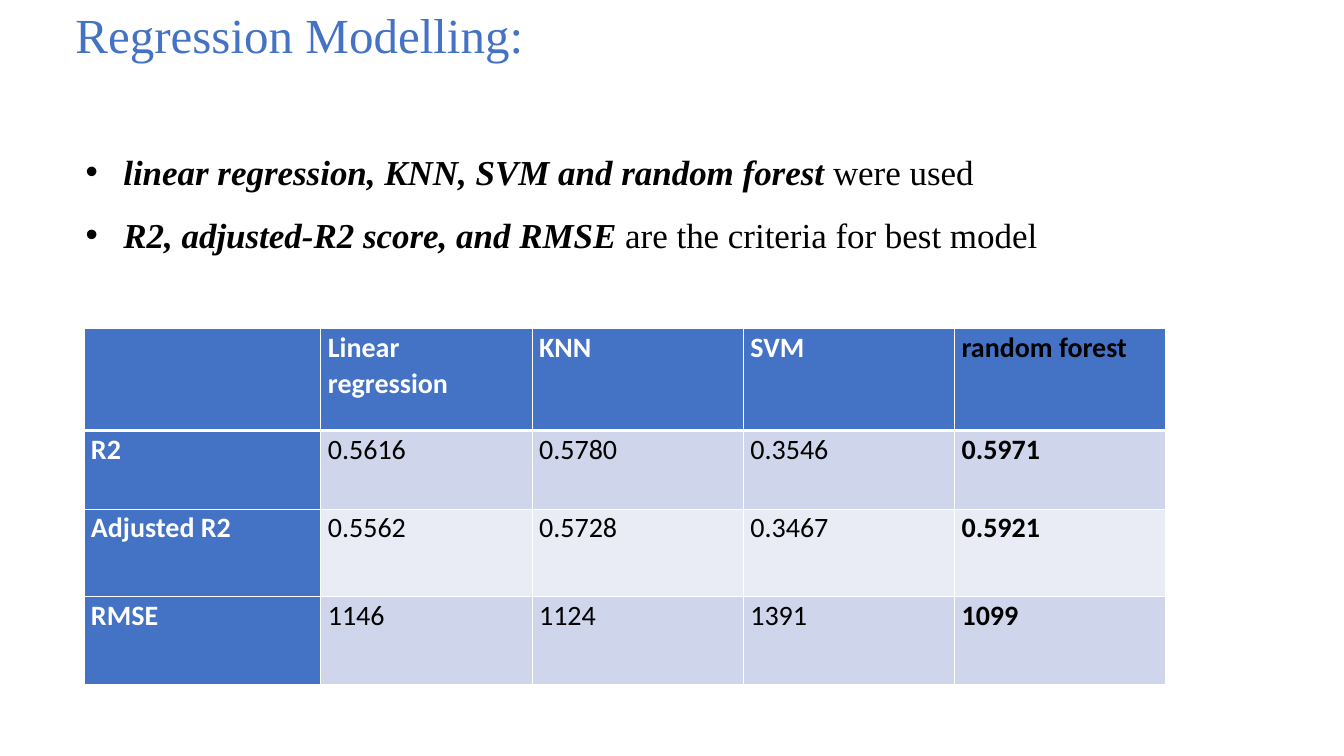
from dataclasses import dataclass
from typing import Optional

from lxml.etree import SubElement
from pptx import Presentation
from pptx.dml.color import RGBColor as RGB
from pptx.enum.text import MSO_ANCHOR as Anchor
from pptx.oxml.ns import qn
from pptx.util import Pt


@dataclass(frozen=True)
class Theme:
    """Colours, fonts and type sizes of the slide."""
    blue: str = "4472C4"
    band_dark: str = "CFD5EA"
    band_light: str = "E9EBF5"
    white: str = "FFFFFF"
    black: str = "000000"
    serif: str = "Times New Roman"
    sans: str = "Calibri"
    title: float = 35
    body: float = 25
    cell: float = 20


@dataclass(frozen=True)
class Box:
    """Position and size in points."""
    left: float
    top: float
    width: float
    height: float


@dataclass(frozen=True)
class Bullet:
    """A bullet with a stressed opening."""
    stressed: str
    plain: str


THEME = Theme()
TITLE_BOX = Box(46.8, 0, 785.5, 49.7)
BULLET_BOX = Box(54, 104.3, 738, 37.4)
BULLET_PITCH = 44.7
BULLET_INDENT = 27
BULLETS = [
    Bullet("linear regression, KNN, SVM and random forest ", "were used"),
    Bullet("R2, adjusted-R2 score, and RMSE ", "are the criteria for best model"),
]

TABLE_LEFT, TABLE_TOP = 60, 234.8
COLUMN_WIDTHS = [169.2] + [150.9] * 4
ROW_HEIGHTS = [72.7, 56.2, 62.6, 62.6]
SCORES = [
    ["", "Linear regression", "KNN", "SVM", "random forest"],
    ["R2", "0.5616", "0.5780", "0.3546", "0.5971"],
    ["Adjusted R2", "0.5562", "0.5728", "0.3467", "0.5921"],
    ["RMSE", "1146", "1124", "1391", "1099"],
]
BEST_COLUMN = len(COLUMN_WIDTHS) - 1


def add_run(p, text: str, size: float, font: str, color: str,
            bold: bool = False, italic: bool = False) -> None:
    """Add one formatted run to a paragraph."""
    r = p.add_run()
    r.text = text
    r.font.size, r.font.name = Pt(size), font
    r.font.bold, r.font.italic = bold, italic
    r.font.color.rgb = RGB.from_string(color)


def add_paragraph_box(slide, box: Box):
    """Add a wrapping text box and return its paragraph."""
    sp = slide.shapes.add_textbox(Pt(box.left), Pt(box.top),
                                  Pt(box.width), Pt(box.height))
    tf = sp.text_frame
    tf.word_wrap = True
    return tf.paragraphs[0]


def add_bullet(slide, bullet: Bullet, box: Box) -> None:
    """Add a bulleted line with a hanging indent."""
    p = add_paragraph_box(slide, box)
    pPr = p._p.get_or_add_pPr()
    pPr.set("marL", str(Pt(BULLET_INDENT)))
    pPr.set("indent", str(-Pt(BULLET_INDENT)))
    SubElement(pPr, qn("a:buFont")).set("typeface", "Arial")
    SubElement(pPr, qn("a:buChar")).set("char", "•")
    add_run(p, bullet.stressed, THEME.body, THEME.serif, THEME.black, True, True)
    add_run(p, bullet.plain, THEME.body, THEME.serif, THEME.black)


def set_border(cell, side: str, width: float) -> None:
    """Draw one white cell border; side is L, R, T or B."""
    ln = SubElement(cell._tc.get_or_add_tcPr(), qn(f"a:ln{side}"), w=str(Pt(width)))
    fill = SubElement(ln, qn("a:solidFill"))
    SubElement(fill, qn("a:srgbClr")).set("val", THEME.white)


def cell_fill(row: int, col: int) -> str:
    """Return the fill for headings or banded values."""
    if row == 0 or col == 0:
        return THEME.blue
    return THEME.band_dark if row % 2 else THEME.band_light


def format_cell(cell, row: int, col: int, text: Optional[str]) -> None:
    """Set borders, fill and text of a cell by its place in the table."""
    for side in "LRTB":
        under_header = (row, side) in ((0, "B"), (1, "T"))
        set_border(cell, side, 3 if under_header else 1)
    cell.fill.solid()
    cell.fill.fore_color.rgb = RGB.from_string(cell_fill(row, col))
    cell.margin_left = cell.margin_right = Pt(5)
    cell.margin_top = cell.margin_bottom = Pt(0)
    cell.vertical_anchor = Anchor.TOP
    if text:
        heading, best = row == 0 or col == 0, col == BEST_COLUMN
        color = THEME.white if heading and not best else THEME.black
        p = cell.text_frame.paragraphs[0]
        p.line_spacing = 1.06
        add_run(p, text, THEME.cell, THEME.sans, color, heading or best)


def add_score_table(slide) -> None:
    """Add the table of model scores."""
    table = slide.shapes.add_table(
        len(ROW_HEIGHTS), len(COLUMN_WIDTHS), Pt(TABLE_LEFT), Pt(TABLE_TOP),
        Pt(sum(COLUMN_WIDTHS)), Pt(sum(ROW_HEIGHTS))).table
    table.first_col = True
    for column, width in zip(table.columns, COLUMN_WIDTHS):
        column.width = Pt(width)
    for i, (height, values) in enumerate(zip(ROW_HEIGHTS, SCORES)):
        table.rows[i].height = Pt(height)
        for j, value in enumerate(values):
            format_cell(table.cell(i, j), i, j, value)


def main() -> None:
    """Build and save the slide."""
    prs = Presentation()
    prs.slide_width, prs.slide_height = Pt(960), Pt(540)
    slide = prs.slides.add_slide(prs.slide_layouts[6])
    for i, bullet in enumerate(BULLETS):
        top = BULLET_BOX.top + i * BULLET_PITCH
        add_bullet(slide, bullet,
                   Box(BULLET_BOX.left, top, BULLET_BOX.width, BULLET_BOX.height))
    add_run(add_paragraph_box(slide, TITLE_BOX), "Regression Modelling:",
            THEME.title, THEME.serif, THEME.blue)
    add_score_table(slide)
    prs.save("out.pptx")


main()
